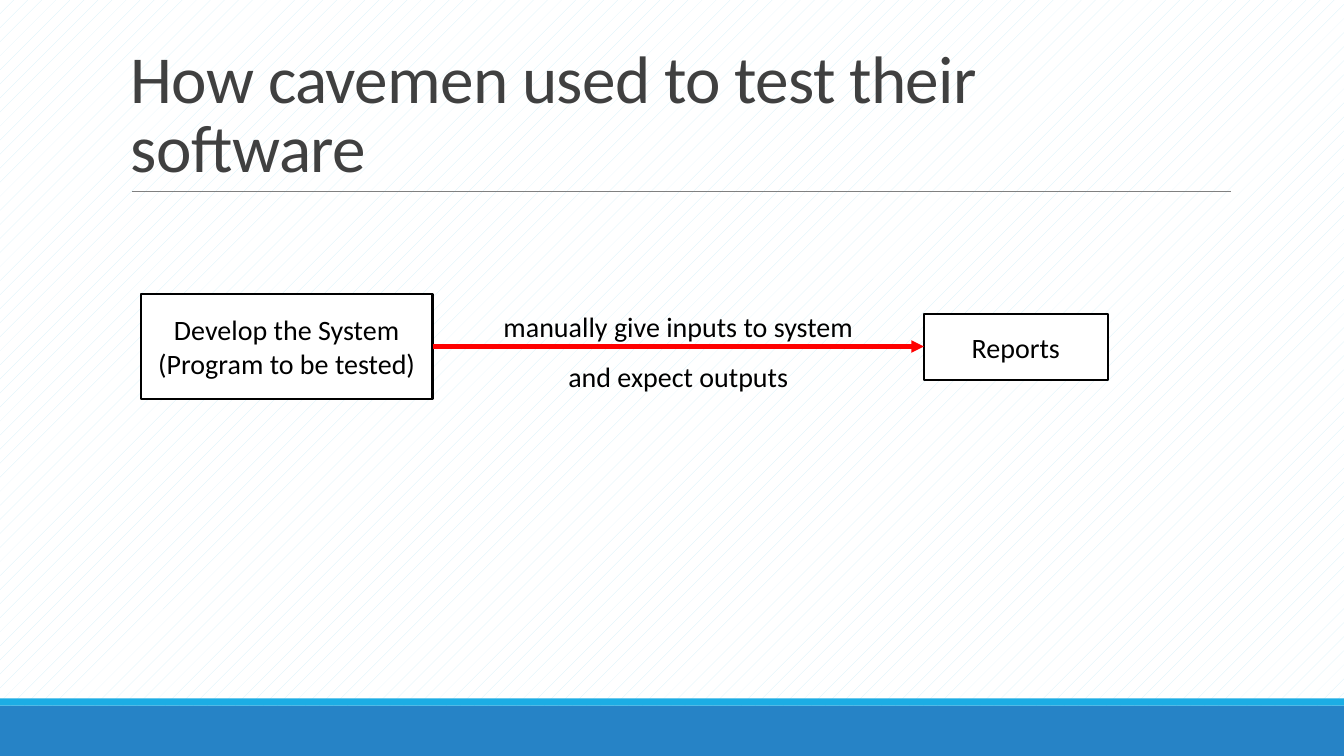
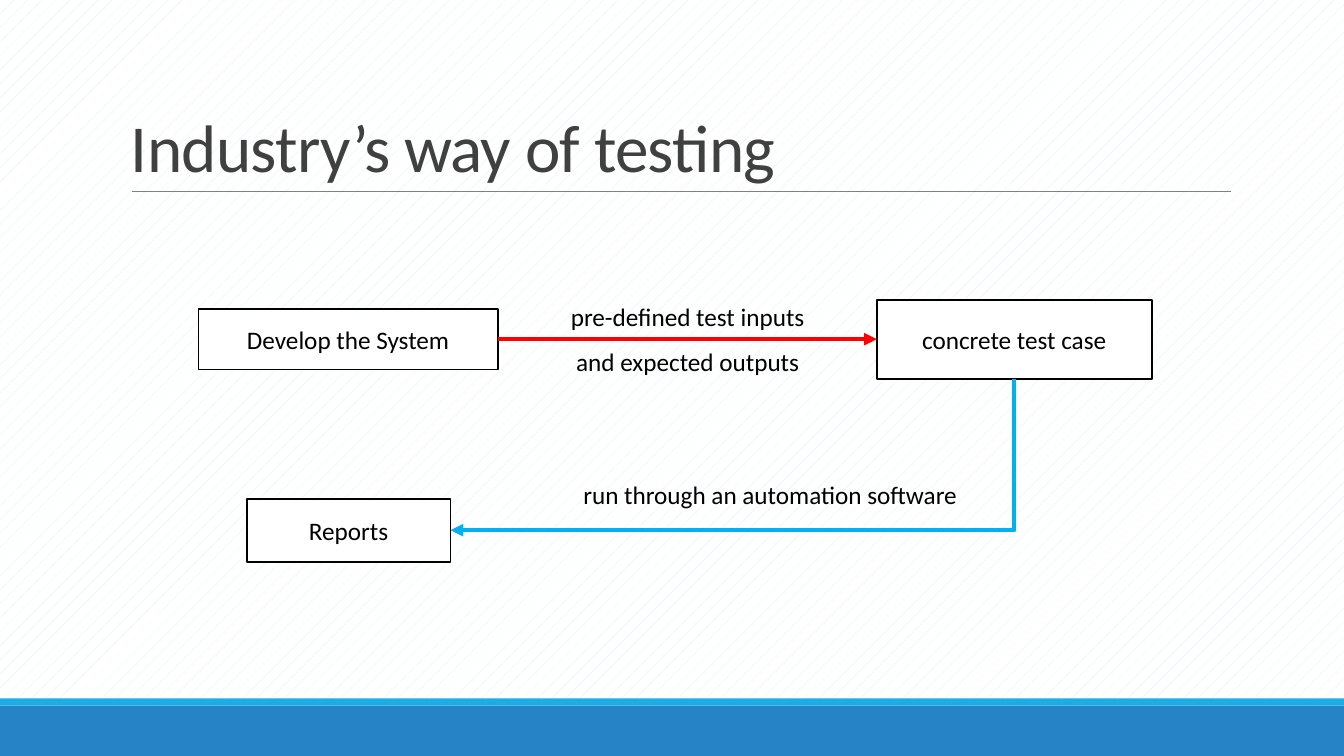
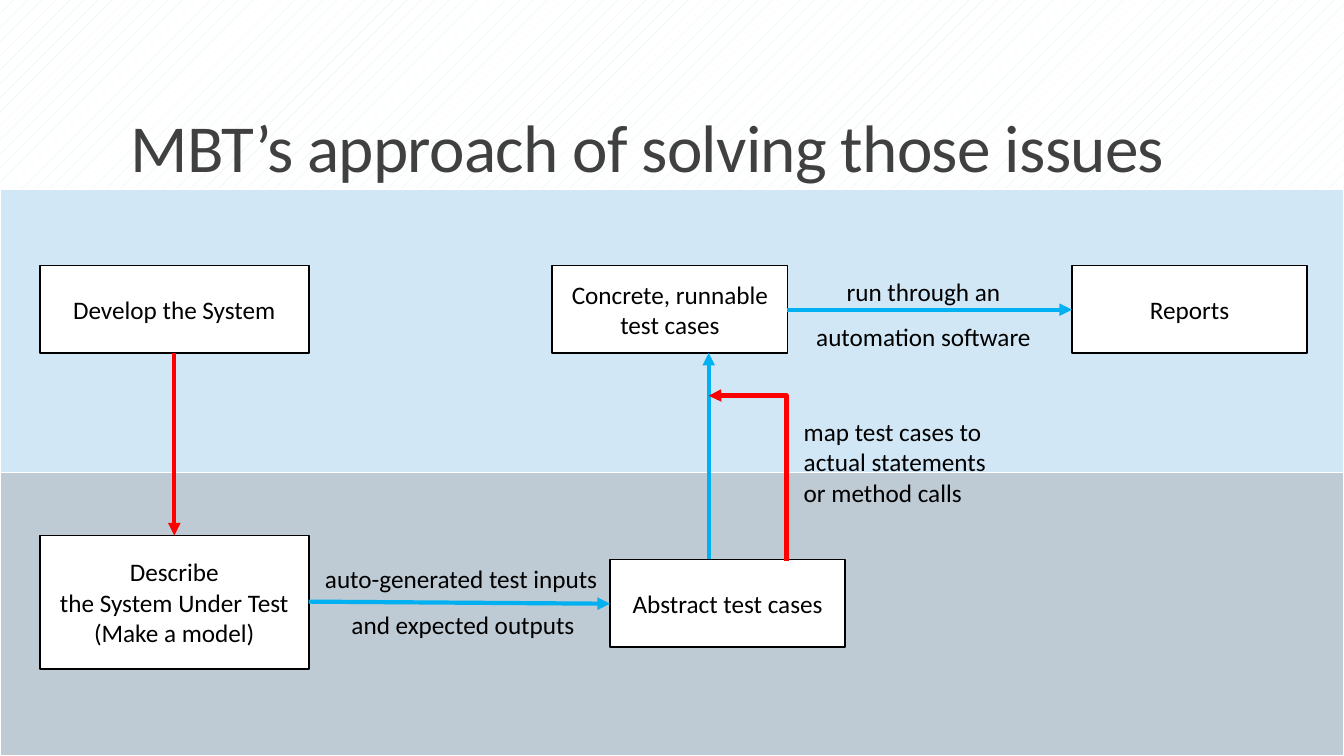
import pptx
import pptx.util
import pptx.dml.color
import pptx.enum.dml
import pptx.enum.shapes
import pptx.enum.text
import pptx.oxml.ns
from lxml import etree

PX = 9525  # EMU in one px, 96 px to the inch
W, H = 1280, 720
FONT = "Calibri"
COLORS = {
    "black": "000000", "white": "FFFFFF", "title": "404040", "rule": "808080",
    "red": "FF0000", "blue": "00B0F0", "band": "2683C6", "stripe": "1CADE4",
    "dots": "D2EFFA", "upper": "D1E7F6", "lower": "BECAD4",
}
RGB = {name: pptx.dml.color.RGBColor.from_string(c) for name, c in COLORS.items()}
ALIGN = pptx.enum.text.PP_ALIGN
ANCHOR = pptx.enum.text.MSO_ANCHOR
LINE = pptx.enum.shapes.MSO_CONNECTOR
qn = pptx.oxml.ns.qn


def add_text(s, at, *lines, size=18, fill=None, border=None, width=1.25,
             anchor=ANCHOR.MIDDLE, align=(ALIGN.CENTER,), spacing=(None,)):
    """Add a text box, or a rectangle when a fill is given; the last align and spacing carry on."""
    at = [v * PX for v in at]
    if fill:
        sp = s.shapes.add_shape(pptx.enum.shapes.MSO_SHAPE.RECTANGLE, *at)
        sp.shadow.inherit = False
        sp.fill.solid()
        sp.fill.fore_color.rgb = RGB[fill]
        if border:
            sp.line.color.rgb = RGB[border]
            sp.line.width = pptx.util.Pt(width)
        else:
            sp.line.fill.background()
    else:
        sp = s.shapes.add_textbox(*at)
    tf = sp.text_frame
    tf.word_wrap = True
    tf.vertical_anchor = anchor
    for i, line in enumerate(lines):
        p = tf.paragraphs[0] if i == 0 else tf.add_paragraph()
        p.alignment = align[min(i, len(align) - 1)]
        p.line_spacing = spacing[min(i, len(spacing) - 1)]
        r = p.add_run()
        r.text = line
        r.font.name = FONT
        r.font.size = pptx.util.Pt(size)
        r.font.color.rgb = RGB["black"]
    return sp


def add_line(s, x1, y1, x2, y2, color, width=3, head=True, bent=None, turn=0, adj=None):
    """Add a line; turn is 1 or -1 for an elbow that is turned a quarter right or left."""
    if turn:
        cx, cy = (x1 + x2) / 2, (y1 + y2) / 2
        dx, dy = turn * (y1 - cy), turn * (cx - x1)
        x1, y1, x2, y2 = cx + dx, cy + dy, cx - dx, cy - dy
    kind = LINE.ELBOW if bent else LINE.STRAIGHT
    cn = s.shapes.add_connector(kind, *(int(v * PX) for v in (x1, y1, x2, y2)))
    cn.line.color.rgb = RGB[color]
    cn.line.width = pptx.util.Pt(width)
    pr = cn.element.spPr
    if head:
        etree.SubElement(pr.find(qn("a:ln")), qn("a:tailEnd"), type="triangle")
    etree.SubElement(pr, qn("a:effectLst"))
    if turn:
        pr.find(qn("a:xfrm")).set("rot", str(turn % 4 * 5400000))
    if bent:
        geom = pr.find(qn("a:prstGeom"))
        geom.set("prst", bent)
        if adj:
            guides = geom.find(qn("a:avLst"))
            if guides is None:
                guides = etree.SubElement(geom, qn("a:avLst"))
            etree.SubElement(guides, qn("a:gd"), name="adj1", fmla=f"val {adj}")
    return cn


prs = pptx.Presentation()
prs.slide_width, prs.slide_height = W * PX, H * PX
layout = prs.slide_layouts[5]

# Slides with their titles
slides = []
for title in ("How cavemen used to test their software",
              "Industry’s way of testing",
              "MBT’s approach of solving those issues"):
    s = prs.slides.add_slide(layout)
    sp = s.shapes.title
    sp.left, sp.top, sp.width, sp.height = (v * PX for v in (115, 30, 1056, 152))
    tf = sp.text_frame
    tf.auto_size = pptx.enum.text.MSO_AUTO_SIZE.NONE
    tf.word_wrap = True
    tf.vertical_anchor = ANCHOR.BOTTOM
    p = tf.paragraphs[0]
    p.alignment = ALIGN.LEFT
    p.line_spacing = 0.85
    r = p.add_run()
    r.text = title
    r.font.name = FONT
    r.font.size = pptx.util.Pt(48)
    r.font.color.rgb = RGB["title"]
    r.font._element.set("spc", "-50")
    slides.append(s)
manual, industry, mbt = slides

# Shared background, bands and title rule, moved to the layout
fill = layout.background.fill
fill.patterned()
fill.pattern = pptx.enum.dml.MSO_PATTERN.PERCENT_5
fill.fore_color.rgb = RGB["dots"]
fill.back_color.rgb = RGB["white"]
for sp in (add_text(manual, (0, 672, W, 48), fill="band"),
           add_text(manual, (0, 665, W, 7), fill="stripe"),
           add_line(manual, 126, 182, 1172, 182, "rule", width=0.5, head=False)):
    layout.shapes.element.append(sp.element)

# Slide 1: manual testing
for at, text in (((134, 280, 278, 100), "Develop the System (Program to be tested)"),
                 ((880, 299, 175, 63), "Reports")):
    add_text(manual, at, text, size=20, fill="white", border="black", width=1.5)
add_line(manual, 412, 330, 880, 330, "red")
add_text(manual, (453, 274, 386, 107), "manually give inputs to system", "and expect outputs",
         size=20, anchor=ANCHOR.TOP, spacing=(1.5,))

# Slide 2: predefined test cases
for at, text in (((189, 294, 285, 58), "Develop the System"),
                 ((835, 286, 262, 75), "concrete test case"),
                 ((235, 475, 194, 60), "Reports")):
    add_text(industry, at, text, fill="white", border="black")
add_line(industry, 474, 323, 835, 323, "red")
add_line(industry, 966, 361, 429, 505, "blue", bent="bentConnector2", turn=1)
add_text(industry, (518, 282, 274, 97), "pre-defined test inputs", "and expected outputs",
         anchor=ANCHOR.TOP, spacing=(None, 1.5))
add_text(industry, (497, 452, 424, 45), "run through an automation software",
         anchor=ANCHOR.TOP, align=(ALIGN.RIGHT,))

# Slide 3: concrete level above, abstract level below
for i, level in enumerate(("upper", "lower")):
    add_text(mbt, (0, 180 + 270 * i, W, 270), fill=level, border="white")
for at, lines in (((38, 253, 256, 83), ["Develop the System"]),
                  ((38, 510, 256, 127),
                   ["Describe", "the System Under Test", "(Make a model)"]),
                  ((581, 533, 224, 83), ["Abstract test cases"]),
                  ((526, 253, 224, 83), ["Concrete, runnable test cases"]),
                  ((1021, 253, 224, 83), ["Reports"])):
    add_text(mbt, at, *lines, fill="white", border="black")
for ends, color in (((166, 336, 166, 510), "red"),
                    ((294, 573, 581, 575), "blue"),
                    ((750, 295, 1021, 295), "blue"),
                    ((675, 532, 675, 336), "blue")):
    add_line(mbt, *ends, color)
add_line(mbt, 749, 534, 675, 377, "red", bent="bentConnector3", turn=-1, adj=100200)
add_text(mbt, (766, 244, 227, 97), "run through an", "automation software",
         anchor=ANCHOR.TOP, spacing=(1.5,))
add_text(mbt, (756, 392, 195, 97), "map test cases to", "actual statements",
         "or method calls", anchor=ANCHOR.TOP, align=(ALIGN.LEFT,))
add_text(mbt, (300, 532, 282, 83), "auto-generated test inputs", "and expected outputs",
         anchor=ANCHOR.TOP, align=(ALIGN.LEFT, ALIGN.CENTER), spacing=(None, 1.5))

prs.save("out.pptx")
